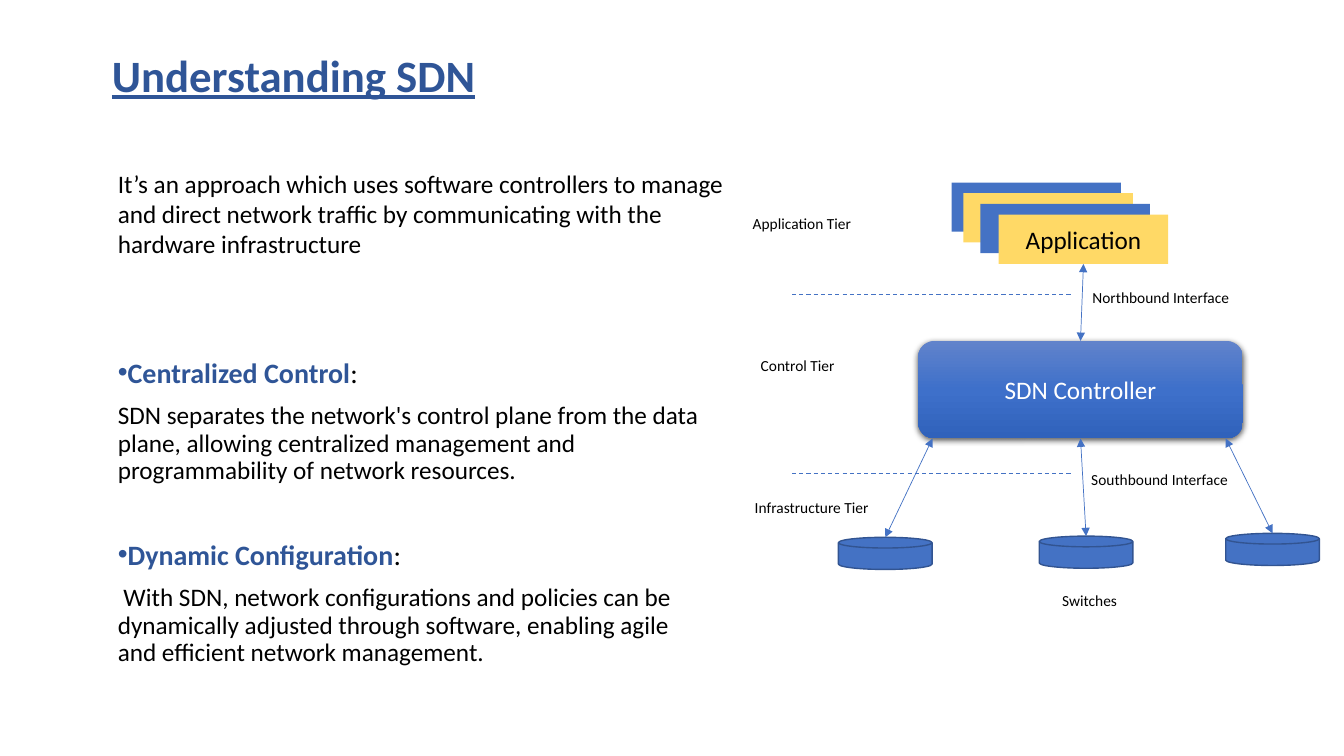
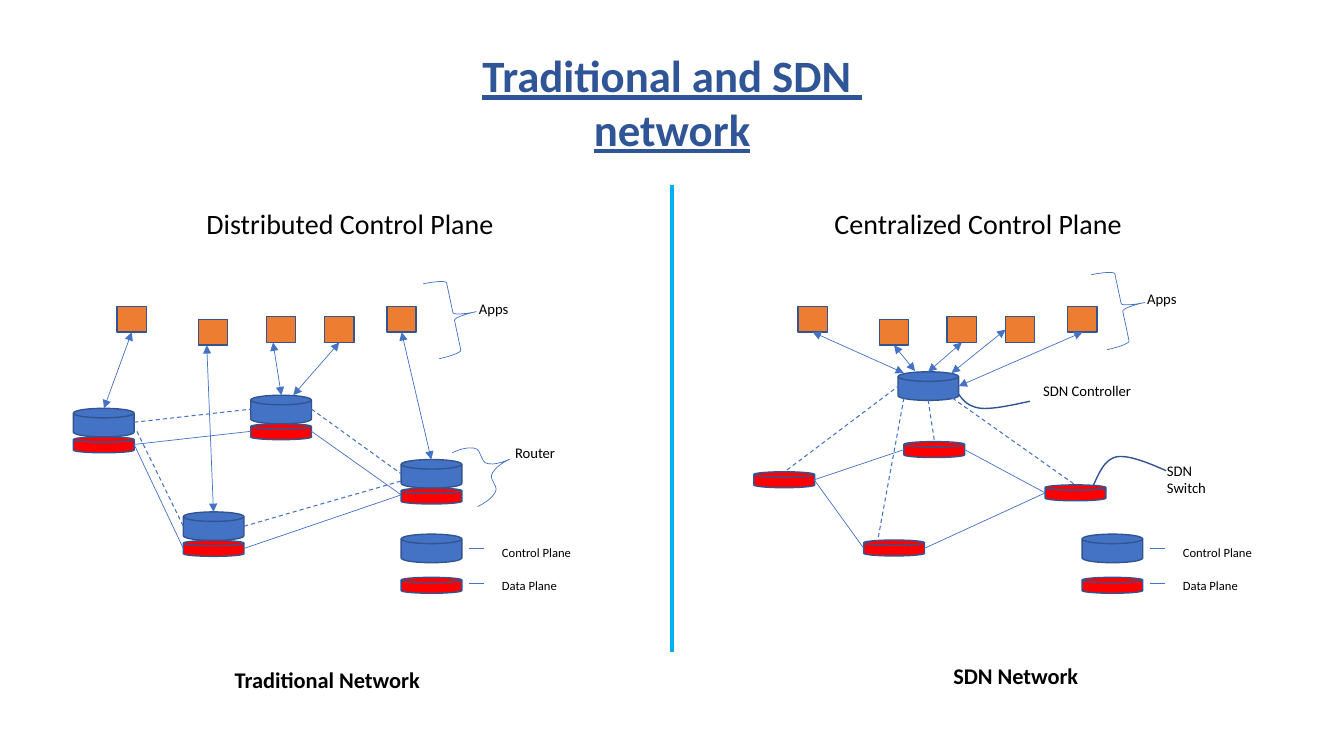
from copy import deepcopy

from pptx import Presentation
from pptx.dml.color import RGBColor
from pptx.enum import dml, shapes, text
from pptx.oxml import parse_xml
from pptx.oxml.ns import nsdecls, qn
from pptx.util import Cm, Pt

FONT = "Calibri"
TITLE_BLUE, BLUE, OUTLINE = "2F5597", "4472C4", "325491"
YELLOW, ORANGE, RED, SKY = "FFD966", "ED7D31", "FF0000", "00B0F0"
BLACK, WHITE = "000000", "FFFFFF"
RECTANGLE = shapes.MSO_SHAPE.RECTANGLE
DISK = shapes.MSO_SHAPE.FLOWCHART_MAGNETIC_DISK
BRACE = shapes.MSO_SHAPE.RIGHT_BRACE
CENTER = text.PP_ALIGN.CENTER
TITLE = dict(size=32, colour=TITLE_BLUE, bold=True, underline=True)
rgb = RGBColor.from_string


def draw(slide, kind, left, top, width, height, label="", size=18, colour=BLACK,
         bold=False, underline=False, align=None, fill=None, line=None, weight=1):
    """Add a preset shape, or a text box when kind is None; lengths in cm."""
    box = [Cm(length) for length in (left, top, width, height)]
    if kind is None:
        shape = slide.shapes.add_textbox(*box)
    else:
        shape = slide.shapes.add_shape(kind, *box)
        shape.shadow.inherit = False
        if fill:
            shape.fill.solid()
            shape.fill.fore_color.rgb = rgb(fill)
        else:
            shape.fill.background()
        if line:
            shape.line.color.rgb = rgb(line)
            shape.line.width = Pt(weight)
        else:
            shape.line.fill.background()
    shape.text_frame.word_wrap = True
    if label:
        shape.text_frame.text = label
        for paragraph in shape.text_frame.paragraphs:
            paragraph.alignment = align
            font = paragraph.runs[0].font
            font.name, font.size = FONT, Pt(size)
            font.bold, font.underline = bold, underline
            font.color.rgb = rgb(colour)
    return shape


def connect(slide, x1, y1, x2, y2, colour=BLUE, weight=0.5, dashed=False, arrows=False):
    """Add a straight line, with arrowheads at both ends if asked."""
    connector = slide.shapes.add_connector(
        shapes.MSO_CONNECTOR.STRAIGHT, Cm(x1), Cm(y1), Cm(x2), Cm(y2))
    connector.line.color.rgb = rgb(colour)
    connector.line.width = Pt(weight)
    if dashed:
        connector.line.dash_style = dml.MSO_LINE.DASH
    if arrows:
        for end in ("headEnd", "tailEnd"):
            connector.line._get_or_add_ln().append(
                parse_xml(f'<a:{end} {nsdecls("a")} type="triangle"/>'))
    connector._element.spPr.append(parse_xml(f'<a:effectLst {nsdecls("a")}/>'))
    return connector


presentation = Presentation()
presentation.slide_width, presentation.slide_height = Cm(33.87), Cm(19.05)
blank = presentation.slide_layouts[6]

# Slide 1: Understanding SDN
slide = presentation.slides.add_slide(blank)
draw(slide, None, 2.57, 1.07, 13.74, 1.63, "Understanding SDN", **TITLE)
draw(slide, None, 2.72, 4.11, 15.93, 2.57,
     "It’s an approach which uses software controllers to manage and direct network "
     "traffic by communicating with the hardware infrastructure")

benefits = [
    ("Centralized Control", 10,
     "SDN separates the network's control plane from the data plane, allowing "
     "centralized management and programmability of network resources."),
    ("Dynamic Configuration", 40,
     " With SDN, network configurations and policies can be dynamically adjusted "
     "through software, enabling agile and efficient network management."),
]
body = draw(slide, None, 2.72, 8.92, 15.34, 8.23,
            "\n".join(f"{heading}\n{detail}" for heading, _, detail in benefits))
for index, (heading, space, _) in enumerate(benefits):
    paragraph, detail = body.text_frame.paragraphs[2 * index:2 * index + 2]
    paragraph.line_spacing = detail.line_spacing = 0.9
    paragraph.space_before, detail.space_before = Pt(space), Pt(10)
    paragraph.text = heading
    paragraph.add_run().text = ":"
    for run, colour in zip(paragraph.runs, (TITLE_BLUE, BLACK)):
        run.font.name, run.font.size = FONT, Pt(20)
        run.font.bold = colour == TITLE_BLUE
        run.font.color.rgb = rgb(colour)
    properties = paragraph._p.get_or_add_pPr()
    properties.set("marL", "0")
    properties.set("indent", "0")
    properties.append(parse_xml(f'<a:buFont {nsdecls("a")} typeface="Arial"/>'))
    properties.append(parse_xml(f'<a:buChar {nsdecls("a")} char="•"/>'))

for index, left in enumerate((23.98, 24.28, 24.71, 25.17)):
    application = draw(slide, RECTANGLE, left, 4.6 + 0.27 * index, 4.27, 1.24,
                       "Application" if index == 3 else "", align=CENTER,
                       fill=YELLOW if index % 2 else BLUE)

controller = draw(slide, shapes.MSO_SHAPE.ROUNDED_RECTANGLE, 23.14, 8.59, 8.18, 2.46,
                  "SDN Controller", colour=WHITE, align=CENTER)
controller.fill.gradient()
controller.fill.gradient_angle = 270
properties = controller._element.spPr
stop_list = properties.find(qn("a:gradFill")).find(qn("a:gsLst"))
stop_list.insert(1, deepcopy(stop_list[0]))
for stop, position, colour in zip(controller.fill.gradient_stops, (0, 0.5, 1),
                                  ("6183CB", "3E70CA", "3062BB")):
    stop.position = position
    stop.color.rgb = rgb(colour)
properties.find(qn("a:effectLst")).append(parse_xml(
    f'<a:outerShdw {nsdecls("a")} blurRad="57150" dist="19050" dir="5400000" '
    'algn="ctr" rotWithShape="0"><a:srgbClr val="000000"><a:alpha val="63000"/>'
    '</a:srgbClr></a:outerShdw>'))

northbound = connect(slide, 27.31, 6.65, 27.23, 8.59, arrows=True)
northbound.begin_connect(application, 2)
northbound.end_connect(controller, 0)
for start, left, top in ((23.5, 21.13, 13.54), (27.23, 26.19, 13.51), (30.89, 30.89, 13.44)):
    draw(slide, DISK, left, top, 2.36, 0.81, fill=BLUE, line=OUTLINE)
    southbound = connect(slide, start, 11.05, left + 1.18, top, arrows=True)
    if start == 27.23:
        southbound.begin_connect(controller, 2)
for top in (7.42, 11.94):
    connect(slide, 19.96, top, 27.05, top, weight=0.75, dashed=True)

for label, left, top, align in (
        ("Southbound Interface", 27.25, 11.71, None),
        ("Northbound Interface", 27.28, 7.14, None),
        ("Infrastructure Tier", 18.77, 12.42, None),
        ("Control Tier", 18.92, 8.84, None),
        ("Application Tier", 18.72, 5.26, None),
        ("Switches", 25.25, 14.78, CENTER)):
    draw(slide, None, left, top, 4.42, 0.74, label, size=11, align=align)

# Slide 2: Traditional and SDN network
slide = presentation.slides.add_slide(blank)
draw(slide, None, 3.07, 1.09, 27.74, 3, "Traditional and SDN \nnetwork", align=CENTER, **TITLE)
connect(slide, 16.94, 4.65, 16.94, 16.43, colour=SKY, weight=3)

DISK_WIDTH, CONTROL_HEIGHT, DATA_HEIGHT = 1.53, 0.72, 0.4
app_places = ((2.95, 7.72), (5, 8.05), (6.71, 7.98), (8.18, 7.98), (9.75, 7.72))
routers = [(1.85, 10.29), (10.11, 11.58), (6.32, 9.96), (4.62, 12.9)]
# app_arrows: start from the app's left edge, joined side, end x, end y
networks = [
    dict(shift=0, heading=("Distributed Control Plane", 3.45),
         caption=("Traditional Network", 5.38, 16.66), brace=(10.85, 7.01),
         control=routers,
         data=[(left, top + CONTROL_HEIGHT) for left, top in routers],
         app_arrows=[(0.37, 2, 2.62, 10.29), (0.21, None, 5.38, 12.9),
                     (0.17, None, 7.09, 9.96), (0.37, 2, 7.39, 9.96),
                     (0.37, 2, 10.87, 11.58)],
         dashed=[(3.38, 10.64, 6.32, 10.31), (7.85, 10.31, 10.11, 11.94),
                 (3.45, 10.87, 4.62, 13.26), (6.15, 13.26, 10.11, 12.12)],
         solid=[(6.15, 13.82, 10.11, 12.47), (7.85, 10.87, 10.11, 12.47),
                (3.38, 11.2, 6.32, 10.87), (3.38, 11.2, 4.62, 13.82)]),
    dict(shift=17.16, heading=("Centralized Control Plane", 19.28),
         caption=("SDN Network", 22.73, 16.56), brace=(27.69, 6.78),
         control=[(22.63, 9.37)],
         data=[(19, 11.89), (26.34, 12.22), (22.78, 11.13), (21.77, 13.61)],
         app_arrows=[(0.37, 2, 22.78, 9.4), (0.37, 2, 23.06, 9.35),
                     (0.37, 2, 23.39, 9.37), (0, 1, 23.98, 9.4),
                     (0.37, 2, 24.16, 9.73)],
         dashed=[(22.68, 9.7, 19.81, 11.86), (22.78, 10.03, 22.12, 13.61),
                 (23.39, 10.08, 23.55, 11.13), (24, 10.03, 27.1, 12.22)],
         solid=[(23.29, 13.82, 26.34, 12.42), (24.31, 11.33, 26.34, 12.42),
                (20.52, 12.09, 22.78, 11.33), (20.52, 12.09, 21.77, 13.82)]),
]
for network in networks:
    shift = network["shift"]
    label, left = network["heading"]
    draw(slide, None, left, 5.08, 10.74, 1.12, label, size=20, align=CENTER)
    label, left, top = network["caption"]
    draw(slide, None, left, top, 5.74, 0.94, label, size=16, bold=True, align=CENTER)

    legend_left = 10.11 + shift
    for left, top in network["control"] + [(legend_left, 13.46)]:
        draw(slide, DISK, left, top, DISK_WIDTH, CONTROL_HEIGHT, fill=BLUE, line=OUTLINE)
    for left, top in network["data"] + [(legend_left, 14.55)]:
        draw(slide, DISK, left, top, DISK_WIDTH, DATA_HEIGHT, fill=RED, line=OUTLINE)
    for label, line_top, label_top in (("Control Plane", 13.82, 13.61),
                                       ("Data Plane", 14.71, 14.45)):
        connect(slide, legend_left + 1.7, line_top, legend_left + 2.08, line_top)
        draw(slide, None, legend_left + 2.29, label_top, 2.62, 0.64, label, size=9)

    for (left, top), (start, side, end_x, end_y) in zip(app_places, network["app_arrows"]):
        app = draw(slide, RECTANGLE, left + shift, top, 0.74, 0.65, fill=ORANGE, line=OUTLINE)
        arrow = connect(slide, left + shift + start, top + 0.65, end_x, end_y, arrows=True)
        if side is not None:
            arrow.begin_connect(app, side)
    for ends in network["dashed"]:
        connect(slide, *ends, weight=0.75, dashed=True)
    for ends in network["solid"]:
        connect(slide, *ends)

    left, top = network["brace"]
    apps_brace = draw(slide, BRACE, left, top, 1.17, 1.93, line=BLUE, weight=0.5)
    apps_brace.rotation = 348
    draw(slide, None, left + 0.97, top + 0.41, 2.69, 0.71, "Apps", size=10.5)

router_brace = draw(slide, BRACE, 11.66, 11.07, 1.24, 1.5, line=BLUE, weight=0.5)
router_brace.rotation = 334.7
router_brace.adjustments[0], router_brace.adjustments[1] = 0.2, 0.51
for label, left, top, width, height in (
        ("Router", 12.73, 11.07, 1.7, 0.71),
        ("SDN Switch", 29.16, 11.51, 1.7, 1.14),
        ("SDN Controller", 26.04, 9.5, 2.95, 1.14)):
    draw(slide, None, left, top, width, height, label, size=10.5)

# Callout curves: each is two cubic Bézier pieces sharing the middle point
STEPS = 12
callouts = [
    [(24.16, 9.93), (24.28, 10.11), (24.43, 10.26), (24.74, 10.29),
     (25.04, 10.31), (25.5, 10.21), (25.96, 10.11)],
    [(27.56, 12.22), (27.71, 11.89), (27.84, 11.58), (28.14, 11.51),
     (28.45, 11.46), (28.93, 11.66), (29.39, 11.86)],
]
for callout in callouts:
    points = []
    for first in (0, 3):
        for step in range(1, STEPS + 1):
            t = step / STEPS
            weights = ((1 - t) ** 3, 3 * t * (1 - t) ** 2, 3 * t ** 2 * (1 - t), t ** 3)
            points.append([
                Cm(sum(weight * point[axis]
                       for weight, point in zip(weights, callout[first:first + 4])))
                for axis in (0, 1)])
    start_x, start_y = callout[0]
    builder = slide.shapes.build_freeform(Cm(start_x), Cm(start_y))
    builder.add_line_segments(points, close=False)
    curve = builder.convert_to_shape()
    curve.shadow.inherit = False
    curve.fill.background()
    curve.line.color.rgb = rgb(OUTLINE)
    curve.line.width = Pt(1)

presentation.save("out.pptx")
